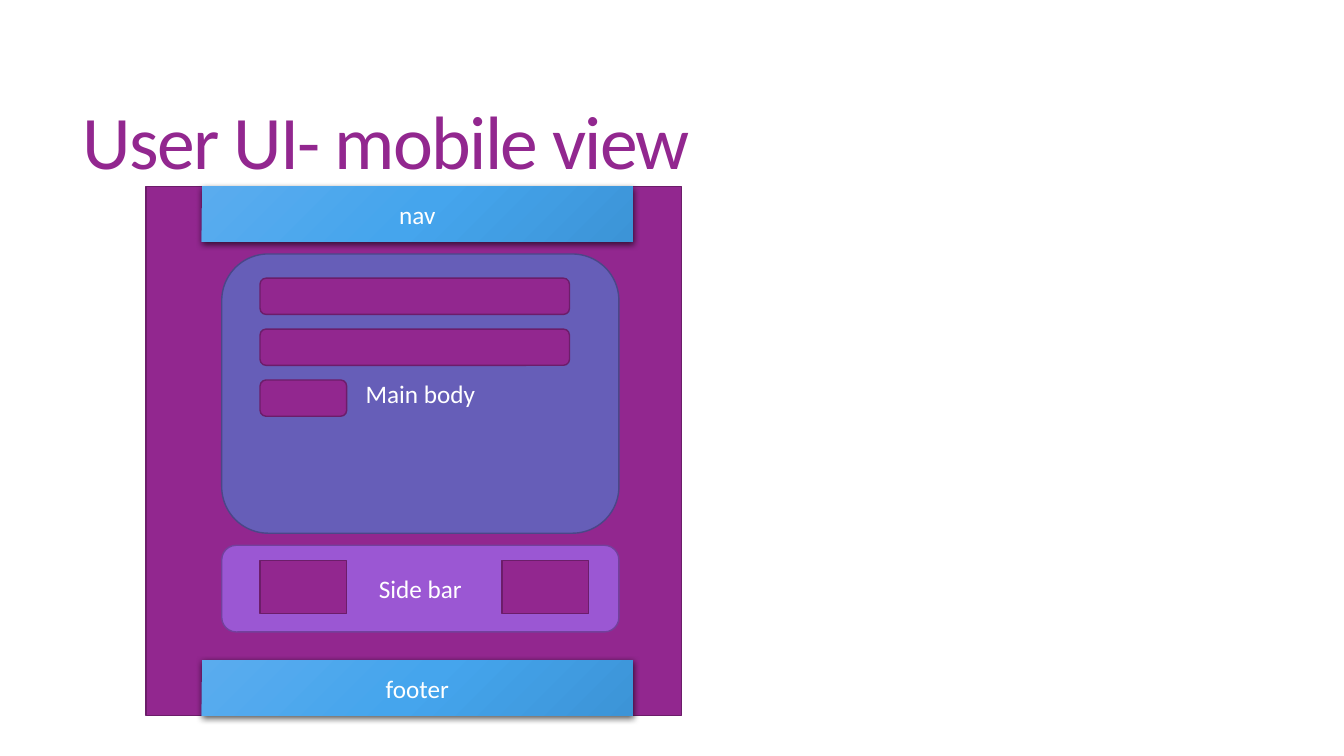
from copy import deepcopy
from dataclasses import dataclass
from typing import Optional

from lxml import etree
from pptx import Presentation
from pptx import util as u
from pptx.dml.color import RGBColor
from pptx.enum import shapes, text
from pptx.oxml import ns

# Grid: ten columns and ten rows to the inch
CELL = u.Inches(0.1)
COLUMNS, ROWS = 133.33, 75

FONT = "Calibri"
WHITE = RGBColor(0xFF, 0xFF, 0xFF)
BLACK = RGBColor(0x00, 0x00, 0x00)
PLUM = RGBColor(0x92, 0x27, 0x8F)
PLUM_EDGE = RGBColor(0x6C, 0x1D, 0x6A)
INDIGO = RGBColor(0x66, 0x5E, 0xB8)
INDIGO_EDGE = RGBColor(0x4B, 0x46, 0x88)
VIOLET = RGBColor(0x9B, 0x57, 0xD3)
VIOLET_EDGE = RGBColor(0x73, 0x40, 0x9C)
BAR_BLUES = (
    RGBColor(0x5A, 0xAC, 0xEE),
    RGBColor(0x45, 0xA5, 0xED),
    RGBColor(0x3C, 0x94, 0xD7),
)

RECT = shapes.MSO_SHAPE.RECTANGLE
ROUND = shapes.MSO_SHAPE.ROUNDED_RECTANGLE


@dataclass(frozen=True)
class Panel:
    """A block of the wireframe; without a fill it is a glossy bar."""

    column: float
    row: float
    columns: float
    rows: float
    outline: shapes.MSO_SHAPE = RECT
    fill: Optional[RGBColor] = PLUM
    edge: RGBColor = PLUM_EDGE
    label: str = ""


def cells(count: float) -> int:
    return round(count * CELL)


def place(shape, column: float, row: float, columns: float, rows: float) -> None:
    shape.left, shape.top = cells(column), cells(row)
    shape.width, shape.height = cells(columns), cells(rows)


def style_text(para, size: float, color: RGBColor, align: text.PP_ALIGN) -> None:
    para.alignment = align
    para.font.name = FONT
    para.font.size = u.Pt(size)
    para.font.color.rgb = color


def gloss(shape) -> None:
    """Give a bar its diagonal gradient and soft shadow below."""
    shape.line.fill.background()
    shape.fill.gradient()
    shape.fill.gradient_angle = 315
    properties = shape._element.spPr
    stop_list = properties.find(ns.qn("a:gradFill")).find(ns.qn("a:gsLst"))
    stop_list.append(deepcopy(stop_list[-1]))
    for index, (stop, blue) in enumerate(zip(shape.fill.gradient_stops, BAR_BLUES)):
        stop.position = index / (len(BAR_BLUES) - 1)
        stop.color.rgb = blue
    shadow = etree.SubElement(
        properties.find(ns.qn("a:effectLst")),
        ns.qn("a:outerShdw"),
        blurRad=str(u.Pt(4.5)),
        dist=str(u.Pt(1.5)),
        dir="5400000",
        algn="ctr",
        rotWithShape="0",
    )
    color = etree.SubElement(shadow, ns.qn("a:srgbClr"), val=str(BLACK))
    etree.SubElement(color, ns.qn("a:alpha"), val="63000")


def draw_panel(page, panel: Panel) -> None:
    shape = page.shapes.add_shape(panel.outline, 0, 0, 0, 0)
    place(shape, panel.column, panel.row, panel.columns, panel.rows)
    shape.shadow.inherit = False
    if panel.fill is None:
        gloss(shape)
    else:
        shape.fill.solid()
        shape.fill.fore_color.rgb = panel.fill
        shape.line.color.rgb = panel.edge
        shape.line.width = u.Pt(1)
    if panel.label:
        frame = shape.text_frame
        frame.text = panel.label
        frame.vertical_anchor = text.MSO_ANCHOR.MIDDLE
        style_text(frame.paragraphs[0], 18, WHITE, text.PP_ALIGN.CENTER)


def draw_title(page, wording: str) -> None:
    title = page.shapes.title
    place(title, 7.2, 5.5, 117.8, 18.1)
    frame = title.text_frame
    frame.text = wording
    frame.word_wrap = True
    frame.auto_size = text.MSO_AUTO_SIZE.NONE
    frame.vertical_anchor = text.MSO_ANCHOR.MIDDLE
    para = frame.paragraphs[0]
    para.line_spacing = 0.85
    style_text(para, 54, PLUM, text.PP_ALIGN.LEFT)
    # Tighten the letters by 1.2 points
    para.runs[0]._r.get_or_add_rPr().set("spc", "-120")


# Shared edges of the wireframe
BAR = dict(column=20, columns=42.8, rows=5.5, fill=None)
SECTION = dict(column=22, columns=39.4, outline=ROUND)
FIELD = dict(column=25.8, rows=3.6, outline=ROUND)
TILE = dict(row=55.6, columns=8.6, rows=5.3)
FIELD_TOP, FIELD_STEP = 27.6, 5.05

PANELS = [
    # Screen with its top and bottom bars
    Panel(14.5, 18.5, 53.1, 52.5),
    Panel(row=18.5, label="nav", **BAR),
    Panel(row=65.5, label="footer", **BAR),
    # Main sections
    Panel(row=25.2, rows=27.7, fill=INDIGO, edge=INDIGO_EDGE, label="Main body", **SECTION),
    Panel(row=54.1, rows=8.6, fill=VIOLET, edge=VIOLET_EDGE, label="Side bar", **SECTION),
    # Form fields, evenly stepped
    *(
        Panel(row=FIELD_TOP + index * FIELD_STEP, columns=width, **FIELD)
        for index, width in enumerate((30.7, 30.7, 8.6))
    ),
    # Side bar tiles
    *(Panel(column=column, **TILE) for column in (25.8, 49.8)),
]


def main() -> None:
    deck = Presentation()
    deck.slide_width, deck.slide_height = cells(COLUMNS), cells(ROWS)
    page = deck.slides.add_slide(deck.slide_layouts.get_by_name("Title Only"))
    draw_title(page, "User UI- mobile view")
    for panel in PANELS:
        draw_panel(page, panel)
    deck.save("out.pptx")


if __name__ == "__main__":
    main()
